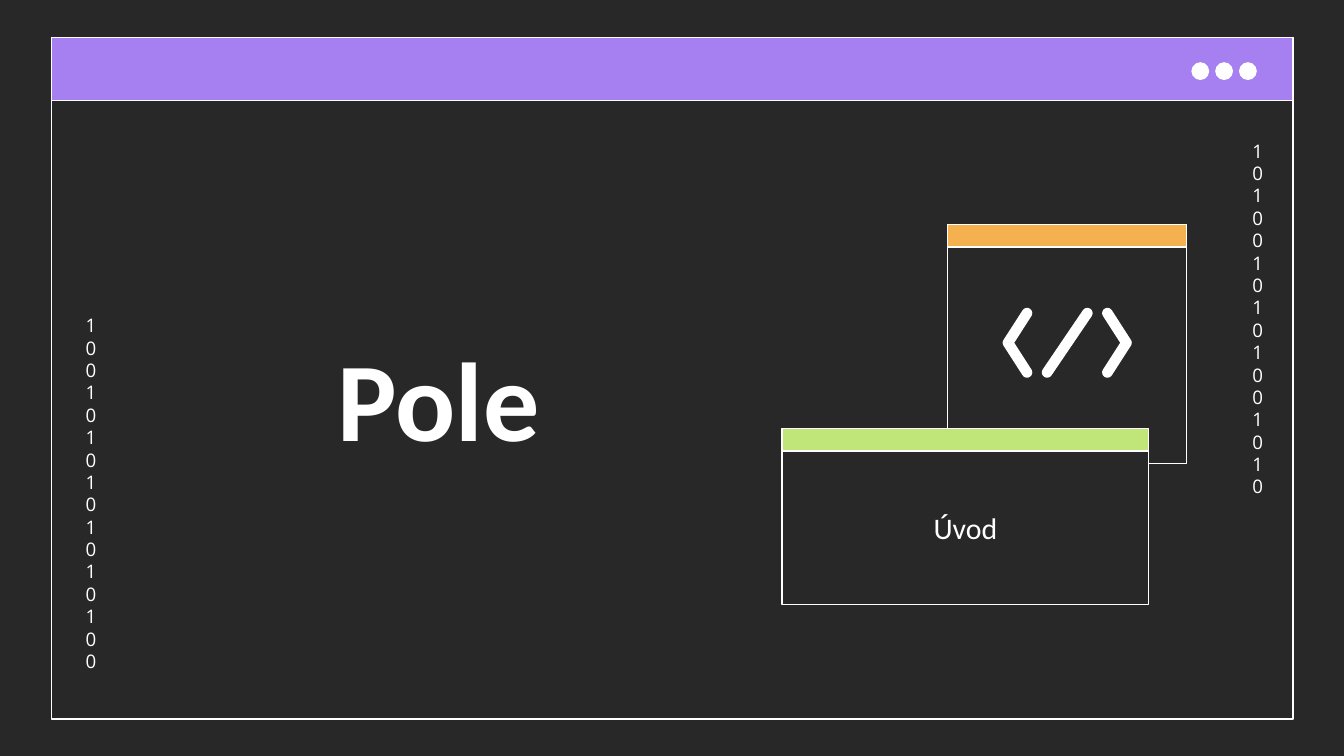
from math import atan2, cos, pi, sin

from pptx import Presentation
from pptx.dml.color import RGBColor
from pptx.enum.shapes import MSO_SHAPE
from pptx.enum.text import MSO_ANCHOR, MSO_AUTO_SIZE, PP_ALIGN
from pptx.util import Cm, Pt

DARK = RGBColor(0x29, 0x28, 0x28)
WHITE = RGBColor(0xFF, 0xFF, 0xFF)
PURPLE = RGBColor(0xA6, 0x7F, 0xF1)
ORANGE = RGBColor(0xF5, 0xB1, 0x50)
GREEN = RGBColor(0xC0, 0xE6, 0x7A)

TITLE = ("Pole", (3.38, 3.02, 9.83, 5.99), MSO_ANCHOR.BOTTOM,
         {"name": "Calibri", "size": Pt(60), "bold": True})
SUBTITLE = ("Úvod", (14.78, 8.53, 6.93, 2.9), MSO_ANCHOR.MIDDLE,
            {"name": "Calibri", "size": Pt(16), "bold": False})
DIGIT_COLUMNS = [
    ("1010010101001010", (23.42, 2.39, 0.61, 7.11)),
    ("1001010101010100", (1.37, 5.69, 0.61, 7.11)),
]
DIGIT_FONT = {"name": "Open Sans", "size": Pt(10), "bold": False}
WINDOWS = [
    ((0.97, 0.71, 23.47, 12.88), 1.19, PURPLE),
    ((17.91, 4.24, 4.52, 4.52), 0.43, ORANGE),
]
SUBTITLE_BAR = (14.78, 8.1, 6.93, 0.43)
DOT_COUNT, DOT_LEFT, DOT_TOP, DOT_SIZE, DOT_STEP = 3, 22.53, 1.19, 0.31, 0.45

CODE_STROKES = [
    [(19.41, 5.92), (19.05, 6.48), (19.41, 7.04)],
    [(20.55, 5.92), (19.79, 7.04)],
    [(20.93, 5.92), (21.29, 6.48), (20.93, 7.04)],
]
STROKE_RADIUS = 0.1
ARC_STEPS = 10
UNITS_PER_CM = 1000


def lengths(box):
    return [Cm(value) for value in box]


def style(shape, fill=None):
    shape.shadow.inherit = False
    if fill is None:
        shape.fill.background()
    else:
        shape.fill.solid()
        shape.fill.fore_color.rgb = fill
    shape.line.color.rgb = WHITE
    shape.line.width = Pt(0.75)


def add_shape(shapes, kind, box, fill=None):
    style(shapes.add_shape(kind, *lengths(box)), fill)


def write(shape, text, anchor, font_format):
    frame = shape.text_frame
    frame_format = {"word_wrap": True, "auto_size": MSO_AUTO_SIZE.NONE,
                    "vertical_anchor": anchor}
    for side in ("left", "right", "top", "bottom"):
        frame_format["margin_" + side] = Cm(0.25)
    for name, value in frame_format.items():
        setattr(frame, name, value)
    frame.text = text
    paragraph = frame.paragraphs[0]
    paragraph.alignment = PP_ALIGN.CENTER
    paragraph.space_before = Pt(0)
    font = paragraph.runs[0].font
    for name, value in font_format.items():
        setattr(font, name, value)
    font.color.rgb = WHITE
    return paragraph


def fill_placeholder(slide, placeholder, content):
    text, box, anchor, font_format = content
    for name, value in zip(("left", "top", "width", "height"), lengths(box)):
        setattr(placeholder, name, value)
    write(placeholder, text, anchor, font_format)
    slide.shapes._spTree.append(placeholder._element)


def stroke_outline(points):
    route = points + points[-2:0:-1]
    outline = []
    for index, (x, y) in enumerate(route):
        before, after = route[index - 1], route[(index + 1) % len(route)]
        heading = atan2(y - before[1], x - before[0])
        turn = (atan2(after[1] - y, after[0] - x) - heading) % (2 * pi)
        if turn < pi + 0.01:
            reach = STROKE_RADIUS
            turns = [turn * step / ARC_STEPS for step in range(ARC_STEPS + 1)]
        else:
            turns = [turn / 2 - pi]
            reach = STROKE_RADIUS / cos(turns[0])
        for part in turns:
            angle = heading + part - pi / 2
            outline.append((round((x + reach * cos(angle)) * UNITS_PER_CM),
                            round((y + reach * sin(angle)) * UNITS_PER_CM)))
    return outline


def add_code_icon(shapes):
    outlines = [stroke_outline(stroke) for stroke in CODE_STROKES]
    builder = shapes.build_freeform(*outlines[0][0], scale=Cm(1) / UNITS_PER_CM)
    for outline in outlines:
        builder.move_to(*outline[0])
        builder.add_line_segments(outline[1:], close=True)
    icon = builder.convert_to_shape()
    style(icon, WHITE)
    icon.line.fill.background()


def main():
    presentation = Presentation()
    presentation.slide_width, presentation.slide_height = Cm(25.4), Cm(14.29)
    slide = presentation.slides.add_slide(presentation.slide_layouts[0])
    slide.background.fill.solid()
    slide.background.fill.fore_color.rgb = DARK
    shapes = slide.shapes

    for box, bar_height, color in WINDOWS:
        add_shape(shapes, MSO_SHAPE.RECTANGLE, box)
        add_shape(shapes, MSO_SHAPE.RECTANGLE, (*box[:3], bar_height), color)
    for index in range(DOT_COUNT):
        left = DOT_LEFT + index * DOT_STEP
        add_shape(shapes, MSO_SHAPE.OVAL, (left, DOT_TOP, DOT_SIZE, DOT_SIZE), WHITE)
    for digits, box in DIGIT_COLUMNS:
        column = shapes.add_textbox(*lengths(box))
        paragraph = write(column, digits, MSO_ANCHOR.TOP, DIGIT_FONT)
        paragraph.line_spacing = Pt(12)

    subtitle = slide.placeholders[1]
    fill_placeholder(slide, shapes.title, TITLE)
    add_code_icon(shapes)
    fill_placeholder(slide, subtitle, SUBTITLE)
    subtitle.fill.solid()
    subtitle.fill.fore_color.rgb = DARK
    subtitle.line.color.rgb = WHITE
    subtitle.line.width = Pt(0.75)
    add_shape(shapes, MSO_SHAPE.RECTANGLE, SUBTITLE_BAR, GREEN)

    presentation.save("out.pptx")


if __name__ == "__main__":
    main()
